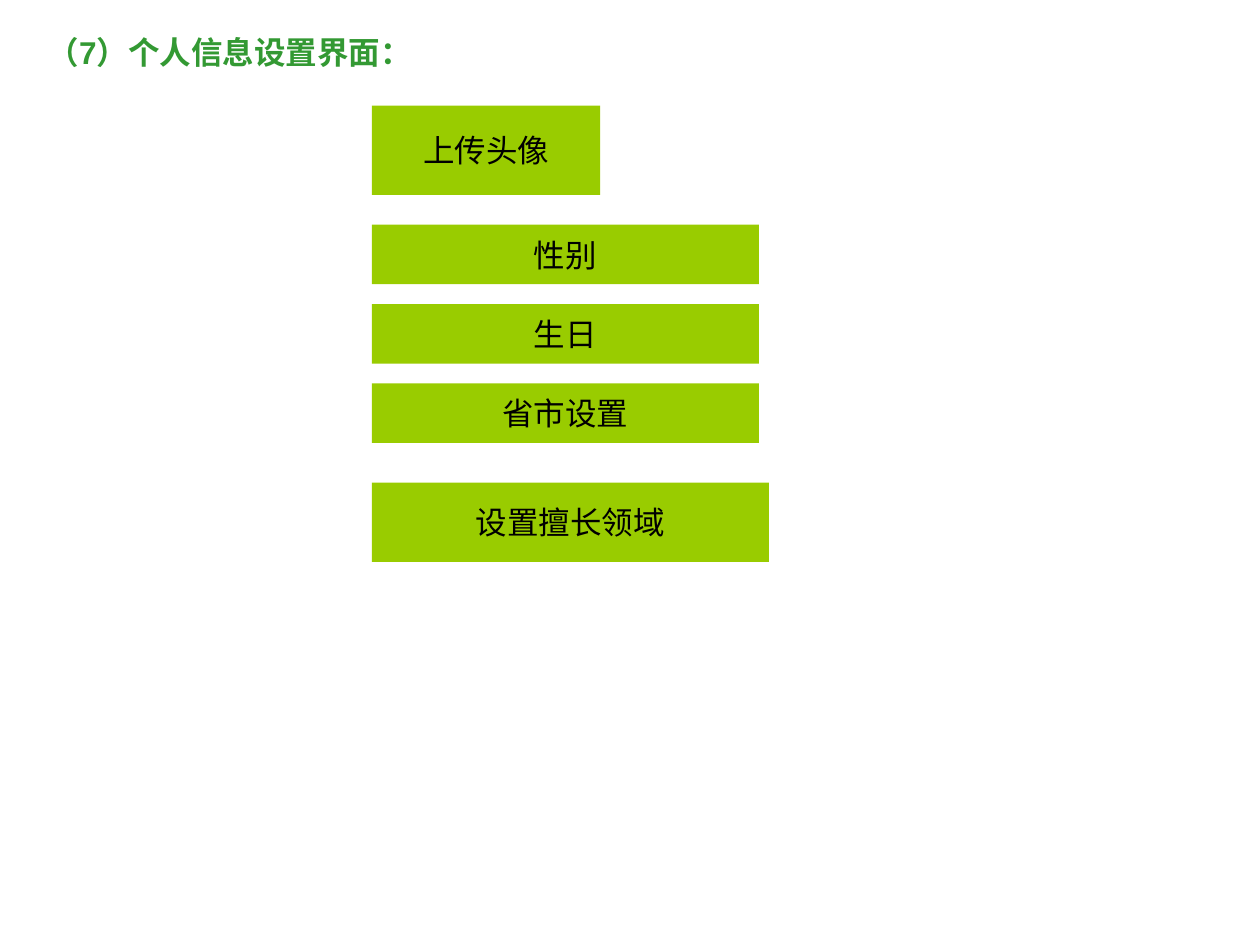
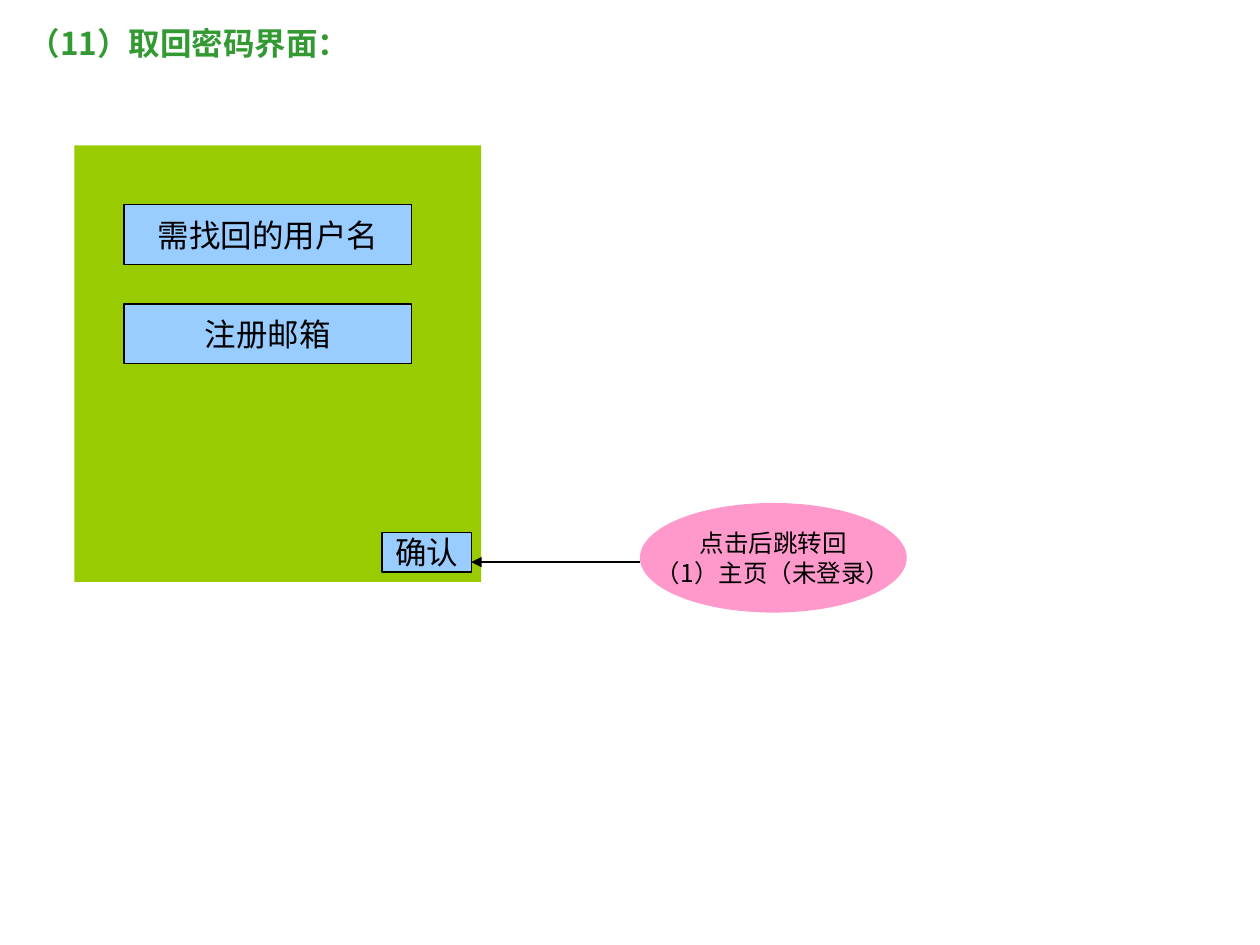
import pptx
import pptx.dml.color
import pptx.enum.lang
import pptx.enum.shapes
import pptx.enum.text
import pptx.oxml.ns
import pptx.util
from lxml import etree

Cm = pptx.util.Cm
Pt = pptx.util.Pt
RGBColor = pptx.dml.color.RGBColor
Shapes = pptx.enum.shapes.MSO_SHAPE
Align = pptx.enum.text.PP_ALIGN
Anchor = pptx.enum.text.MSO_ANCHOR
qn = pptx.oxml.ns.qn

TITLE_GREEN = RGBColor(0x33, 0x99, 0x33)
PANEL_GREEN = RGBColor(0x99, 0xCC, 0x00)
FIELD_BLUE = RGBColor(0x99, 0xCC, 0xFF)
NOTE_PINK = RGBColor(0xFF, 0x99, 0xCC)
BLACK = RGBColor(0, 0, 0)

LATIN_FONT = "Arial"
CHINESE_FONT = "Noto Sans CJK SC"
LABEL_FORMAT = {"size": Pt(18), "bold": False, "name": LATIN_FONT}
NOTE_FORMAT = {"size": Pt(14), "bold": False, "name": CHINESE_FONT}
TITLE_FORMAT = {"size": Pt(18), "bold": True}
FRAME_FORMAT = {
    "margin_left": Cm(0.25), "margin_right": Cm(0.25),
    "margin_top": Cm(0.13), "margin_bottom": Cm(0.13),
    "auto_size": pptx.enum.text.MSO_AUTO_SIZE.NONE,
}


def set_values(target, values):
    """Set every attribute named in values on the target."""
    for name, value in values.items():
        setattr(target, name, value)


def write_text(shape, text, font_format, color, alignment, anchor, wrap):
    """Write one paragraph per line of text and format it."""
    frame = shape.text_frame
    set_values(frame, {**FRAME_FORMAT, "vertical_anchor": anchor, "word_wrap": wrap})
    frame.text = text
    for paragraph in frame.paragraphs:
        paragraph.alignment = alignment
        for run in paragraph.runs:
            set_values(run.font, font_format)
            run.font.language_id = pptx.enum.lang.MSO_LANGUAGE_ID.SIMPLIFIED_CHINESE
            run.font.color.rgb = color
            properties = run.font._element
            etree.SubElement(properties, qn("a:ea")).set("typeface", CHINESE_FONT)


def add_titled_slide(presentation, title, left, top, width, font_name):
    """Add a slide whose title placeholder is a small green heading."""
    slide = presentation.slides.add_slide(presentation.slide_layouts[5])
    shape = slide.shapes.title
    set_values(shape, {"left": Cm(left), "top": Cm(top),
                       "width": Cm(width), "height": Cm(1.02)})
    write_text(shape, title, {**TITLE_FORMAT, "name": font_name}, TITLE_GREEN,
               Align.LEFT, Anchor.TOP, True)
    return slide


def add_block(slide, box, color, text="", outlined=False,
              kind=Shapes.RECTANGLE, font_format=LABEL_FORMAT):
    """Add a filled shape in the box, with optional centred text and outline."""
    shape = slide.shapes.add_shape(kind, *map(Cm, box))
    shape.shadow.inherit = False
    shape.fill.solid()
    shape.fill.fore_color.rgb = color
    if outlined:
        shape.line.color.rgb = BLACK
        shape.line.width = Pt(0.75)
    else:
        shape.line.fill.background()
    if text:
        write_text(shape, text, font_format, BLACK, Align.CENTER, Anchor.MIDDLE, False)
    return shape


def add_arrow(slide, start, end):
    """Add a thin black line with an arrowhead at its end."""
    connector = slide.shapes.add_connector(
        pptx.enum.shapes.MSO_CONNECTOR.STRAIGHT, *map(Cm, (*start, *end)))
    connector.line.color.rgb = BLACK
    connector.line.width = Pt(0.75)
    line = connector.line._get_or_add_ln()
    etree.SubElement(line, qn("a:tailEnd")).set("type", "triangle")
    etree.SubElement(connector._element.spPr, qn("a:effectLst"))


def add_profile_form(slide, left, top):
    """Stack the avatar, personal detail and expertise blocks."""
    add_block(slide, (left, top, 4.6, 1.8), PANEL_GREEN, "上传头像")
    for row, label in enumerate(("性别", "生日", "省市设置")):
        add_block(slide, (left, top + 2.4 + 1.6 * row, 7.8, 1.2), PANEL_GREEN, label)
    add_block(slide, (left, top + 7.6, 8, 1.6), PANEL_GREEN, "设置擅长领域")


def add_password_form(slide, left, top):
    """Draw the recovery panel with its fields, button and note."""
    add_block(slide, (left + 11.4, top + 7.21, 5.38, 2.21), NOTE_PINK,
              "点击后跳转回\n（1）主页（未登录）", kind=Shapes.OVAL,
              font_format=NOTE_FORMAT)
    add_block(slide, (left, top, 8.2, 8.8), PANEL_GREEN)
    for row, label in enumerate(("需找回的用户名", "注册邮箱")):
        add_block(slide, (left + 1, top + 1.2 + 2 * row, 5.8, 1.2),
                  FIELD_BLUE, label, outlined=True)
    add_block(slide, (left + 6.2, top + 7.8, 1.8, 0.8), FIELD_BLUE, "确认", outlined=True)
    add_arrow(slide, (left + 11.4, top + 8.4), (left + 8, top + 8.4))


def main():
    """Build both interface slides and save them."""
    presentation = pptx.Presentation()
    presentation.slide_width = Cm(25.4)
    presentation.slide_height = Cm(19.05)
    profile = add_titled_slide(presentation, "（7）个人信息设置界面：",
                               0.71, 0.53, 7.8, LATIN_FONT)
    add_profile_form(profile, 7.5, 2.13)
    password = add_titled_slide(presentation, "（11）取回密码界面：",
                                0.33, 0.36, 7.98, CHINESE_FONT)
    add_password_form(password, 1.5, 2.93)
    presentation.save("out.pptx")


if __name__ == "__main__":
    main()
